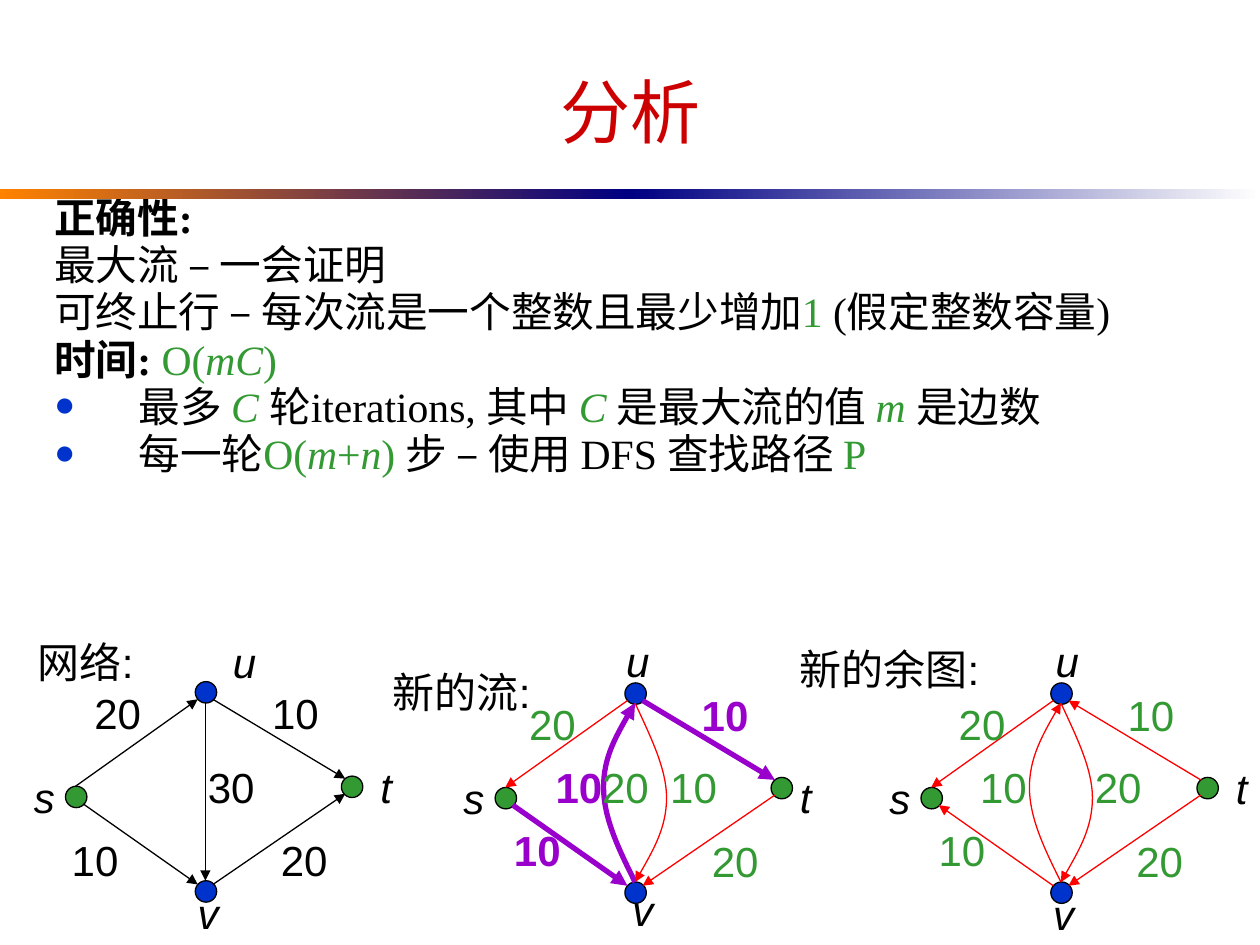
from lxml import etree
from pptx import Presentation
from pptx.dml.color import RGBColor
from pptx.enum.shapes import MSO_CONNECTOR, MSO_SHAPE
from pptx.enum.text import MSO_ANCHOR, MSO_AUTO_SIZE, PP_ALIGN
from pptx.oxml.ns import qn
from pptx.util import Inches, Pt

BLACK = RGBColor(0x00, 0x00, 0x00)
WHITE = RGBColor(0xFF, 0xFF, 0xFF)
CRIMSON = RGBColor(0xCC, 0x00, 0x00)
RED = RGBColor(0xFF, 0x00, 0x00)
GREEN = RGBColor(0x33, 0x99, 0x33)
BLUE = RGBColor(0x00, 0x33, 0xCC)
PURPLE = RGBColor(0x99, 0x00, 0xCC)
ORANGE = RGBColor(0xFF, 0x82, 0x00)
NAVY = RGBColor(0x00, 0x00, 0x82)

SANS, SERIF = "Arial", "Times New Roman"
THIN, THICK = 0.75, 3
NODE = 0.17
LABEL_H = 0.5

# Places below are inches from the top left corner of a graph
NODES = {"s": (0, 0.83, GREEN), "u": (1.03, 0, BLUE),
         "t": (2.19, 0.75, GREEN), "v": (1.03, 1.58, BLUE)}
# Ends of each edge, where it meets the rims of its nodes
EDGES = {"us": ((1.05, 0.14), (0.08, 0.83)), "ut": ((1.17, 0.14), (2.22, 0.77)),
         "sv": ((0.14, 0.97), (1.05, 1.61)), "vt": ((1.17, 1.61), (2.22, 0.89)),
         "uv": ((1.11, 0.16), (1.11, 1.58))}
EDGES.update({name[::-1]: ends[::-1] for name, ends in list(EDGES.items())})
# Bezier points of the bowed edges
CURVES = {"vu": [(1.11, 1.58), (0.98, 1.32), (0.86, 1.07), (0.86, 0.83),
                 (0.86, 0.6), (0.98, 0.38), (1.11, 0.16)],
          "uv": [(1.11, 0.16), (1.23, 0.42), (1.36, 0.68), (1.36, 0.91),
                 (1.36, 1.15), (1.23, 1.37), (1.11, 1.58)]}
LABEL_WIDTHS = {"s": 0.36, "u": 0.38, "t": 0.29, "v": 0.36}


def add_text(p, text, font=SANS, size=24, color=BLACK, bold=False, italic=False):
    r = p.add_run()
    r.text = text
    r.font.name, r.font.size = font, Pt(size)
    r.font.bold, r.font.italic = bold, italic
    r.font.color.rgb = color


def place(sp, left, top, width, height):
    sp.left, sp.top = Inches(left), Inches(top)
    sp.width, sp.height = Inches(width), Inches(height)


def add_label(s, text, left, top, width, **fmt):
    box = s.shapes.add_textbox(Inches(left), Inches(top), Inches(width), Inches(LABEL_H))
    tf = box.text_frame
    tf.word_wrap = False
    tf.auto_size = MSO_AUTO_SIZE.SHAPE_TO_FIT_TEXT
    tf.vertical_anchor = MSO_ANCHOR.MIDDLE
    tf.paragraphs[0].alignment = PP_ALIGN.CENTER
    add_text(tf.paragraphs[0], text, **fmt)


def style_arrow(sp, color, width):
    sp.line.color.rgb = color
    sp.line.width = Pt(width)
    props = sp._element.spPr
    etree.SubElement(props.find(qn("a:ln")), qn("a:tailEnd"), type="triangle")
    etree.SubElement(props, qn("a:effectLst"))


def add_edge(s, x, y, name, color, width):
    (x1, y1), (x2, y2) = EDGES[name]
    line = s.shapes.add_connector(MSO_CONNECTOR.STRAIGHT, Inches(x + x1), Inches(y + y1),
                                  Inches(x + x2), Inches(y + y2))
    style_arrow(line, color, width)


def add_curve(s, x, y, name, color, width):
    points = [(Inches(x + px), Inches(y + py)) for px, py in CURVES[name]]
    builder = s.shapes.build_freeform(*points[0])
    builder.add_line_segments(points[1:], close=False)
    sp = builder.convert_to_shape()
    sp.fill.background()
    # Join every three straight segments into one Bezier segment
    path = sp._element.find(".//" + qn("a:path"))
    segments = path.findall(qn("a:lnTo"))
    for i in range(0, len(segments), 3):
        bezier = etree.SubElement(path, qn("a:cubicBezTo"))
        for segment in segments[i:i + 3]:
            bezier.append(segment[0])
            path.remove(segment)
    style_arrow(sp, color, width)


def add_graph(s, x, y, heading, edges, curves, names, values):
    for left, top, color in NODES.values():
        sp = s.shapes.add_shape(MSO_SHAPE.OVAL, Inches(x + left), Inches(y + top),
                                Inches(NODE), Inches(NODE))
        sp.shadow.inherit = False
        sp.fill.solid()
        sp.fill.fore_color.rgb = color
        sp.line.color.rgb = BLACK
        sp.line.width = Pt(THIN)
    for edge in edges:
        add_edge(s, x, y, *edge)
    for curve in curves:
        add_curve(s, x, y, *curve)
    for name, (left, top) in names.items():
        add_label(s, name, x + left, y + top, LABEL_WIDTHS[name], italic=True)
    for value, left, top, color in values:
        add_label(s, value, x + left, y + top, 0.57, color=color, bold=color == PURPLE)
    text, left, top, width = heading
    add_label(s, text, x + left, y + top, width)


def add_rule(s, left, top, width, height):
    half = width / 2
    for i, colors in enumerate([(ORANGE, NAVY), (NAVY, WHITE)]):
        sp = s.shapes.add_shape(MSO_SHAPE.RECTANGLE, Inches(left + i * half), Inches(top),
                                Inches(half), Inches(height))
        sp.shadow.inherit = False
        sp.line.fill.background()
        sp.fill.gradient()
        sp.fill.gradient_angle = 0
        for stop, color in zip(sp.fill.gradient_stops, colors):
            stop.color.rgb = color


def fill_title(s, left, top, width, height):
    title = s.shapes.title
    place(title, left, top, width, height)
    tf = title.text_frame
    tf.vertical_anchor = MSO_ANCHOR.MIDDLE
    tf.paragraphs[0].alignment = PP_ALIGN.CENTER
    add_text(tf.paragraphs[0], "分析", size=40, color=CRIMSON)


def set_bullet(p, bulleted):
    props = p._p.get_or_add_pPr()
    props.set("marL", str(Inches(0.67)))
    props.set("indent", str(-Inches(0.67)))
    if not bulleted:
        etree.SubElement(props, qn("a:buNone"))
        return
    color = etree.SubElement(props, qn("a:buClr"))
    etree.SubElement(color, qn("a:srgbClr"), val=str(BLUE))
    etree.SubElement(props, qn("a:buSzPct"), val="85000")
    etree.SubElement(props, qn("a:buChar"), char="●")


def fill_body(s, left, top, width, height):
    bold, green = {"bold": True}, {"color": GREEN}
    var = {"color": GREEN, "italic": True}
    lines = [
        (False, [("正确性:", bold)]),
        (False, [("最大流 – 一会证明", {})]),
        (False, [("可终止行 – 每次流是一个整数且最少增加", {}), ("1", green),
                 (" (假定整数容量)", {})]),
        (False, [("时间: ", bold), ("O(", green), ("mC", var), (")", green)]),
        (True, [("最多 ", {}), ("C ", var), ("轮iterations, 其中 ", {}), ("C ", var),
                ("是最大流的值 ", {}), ("m ", var), ("是边数", {})]),
        (True, [("每一轮", {}), ("O(", green), ("m", var), ("+", green), ("n", var),
                (") ", green), ("步 – 使用 DFS 查找路径 ", {}), ("P", green)]),
    ]
    body = s.placeholders[1]
    place(body, left, top, width, height)
    tf = body.text_frame
    tf.auto_size = MSO_AUTO_SIZE.NONE
    tf.vertical_anchor = MSO_ANCHOR.TOP
    for i, (bulleted, runs) in enumerate(lines):
        p = tf.add_paragraph() if i else tf.paragraphs[0]
        set_bullet(p, bulleted)
        p.line_spacing = 0.7
        p.space_before = Pt(7 if i else 0)
        for text, fmt in runs:
            add_text(p, text, font=SERIF, size=23.8, **fmt)


def main():
    prs = Presentation()
    prs.slide_width, prs.slide_height = Inches(10), Inches(7.5)
    s = prs.slides.add_slide(prs.slide_layouts[1])
    add_rule(s, 0, 1.5, 10, 0.08)
    fill_title(s, 0.42, 0.25, 9.17, 1.25)
    fill_body(s, 0.33, 1.58, 9.67, 2.25)

    # Network
    add_graph(s, 0.52, 5.41, ("网络:", -0.36, -0.41, 1.04),
              [(name, BLACK, THIN) for name in ("ut", "su", "sv", "vt", "uv")], [],
              {"s": (-0.35, 0.66), "u": (1.23, -0.41), "t": (2.4, 0.58), "v": (0.95, 1.58)},
              [("20", 0.13, 0, BLACK), ("10", 1.54, 0, BLACK), ("30", 1.03, 0.58, BLACK),
               ("10", -0.05, 1.16, BLACK), ("20", 1.61, 1.16, BLACK)])
    # New flow
    add_graph(s, 3.93, 5.42, ("新的流:", -0.95, -0.18, 1.37),
              [("ut", PURPLE, THICK), ("us", RED, THIN), ("sv", PURPLE, THICK), ("tv", RED, THIN)],
              [("vu", PURPLE, THICK), ("uv", RED, THIN)],
              {"s": (-0.35, 0.66), "u": (0.94, -0.43), "t": (2.32, 0.65), "v": (0.99, 1.55)},
              [("20", 0.17, 0.07, GREEN), ("10", 1.54, 0, PURPLE), ("10", 0.38, 0.57, PURPLE),
               ("20", 0.75, 0.57, GREEN), ("10", 1.29, 0.57, GREEN),
               ("10", 0.05, 1.07, PURPLE), ("20", 1.62, 1.16, GREEN)])
    # New residual graph
    add_graph(s, 7.31, 5.42, ("新的余图:", -1.1, -0.36, 1.7),
              [(name, RED, THIN) for name in ("tu", "us", "vs", "tv")],
              [(name, RED, THIN) for name in ("vu", "uv")],
              {"s": (-0.35, 0.66), "u": (0.97, -0.43), "t": (2.4, 0.58), "v": (0.95, 1.58)},
              [("20", 0.2, 0.07, GREEN), ("10", 1.54, 0, GREEN), ("10", 0.37, 0.57, GREEN),
               ("20", 1.28, 0.57, GREEN), ("10", 0.04, 1.07, GREEN), ("20", 1.61, 1.16, GREEN)])
    prs.save("out.pptx")


if __name__ == "__main__":
    main()
